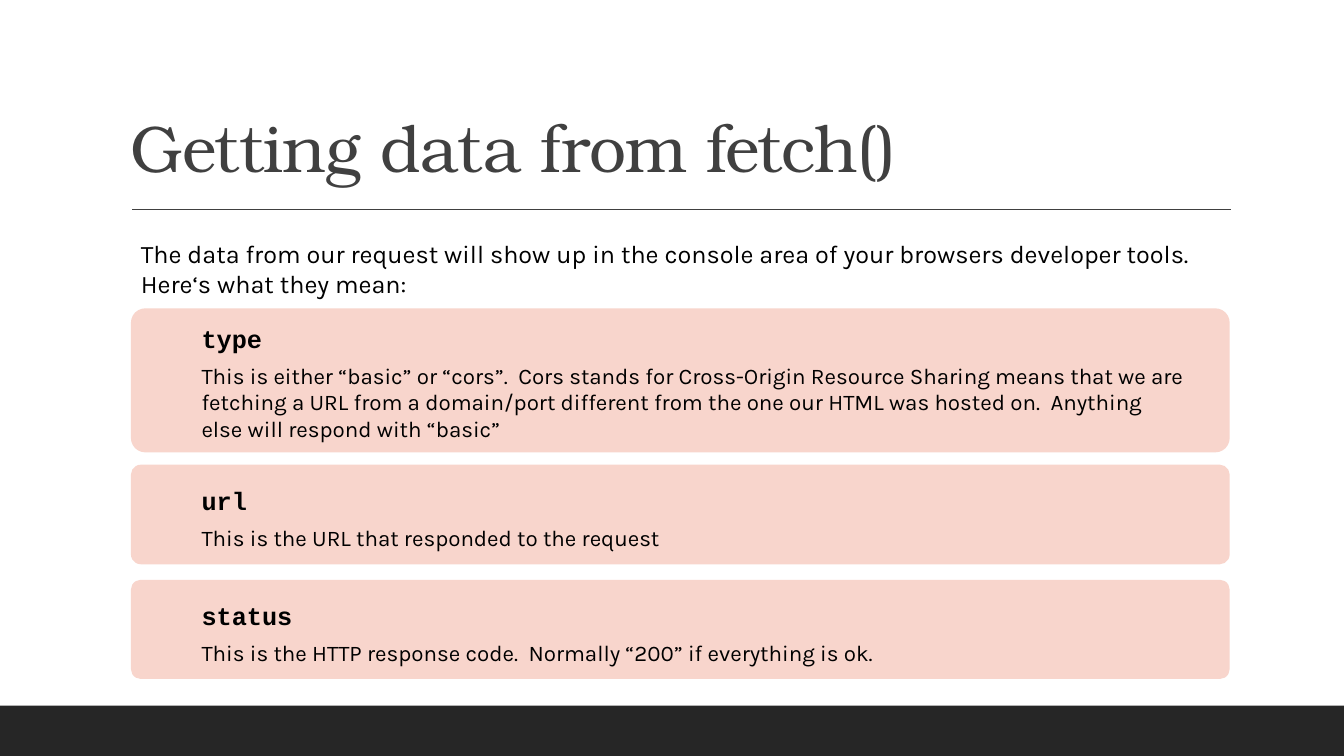
from pptx import Presentation
from pptx.dml.color import RGBColor
from pptx.enum.shapes import MSO_CONNECTOR, MSO_SHAPE
from pptx.enum.text import MSO_ANCHOR, PP_ALIGN
from pptx.oxml.ns import qn
from pptx.util import Cm, Pt
from lxml.etree import SubElement

TITLE = "Getting data from fetch()"
INTRO = ("The data from our request will show up in the console area of your "
         "browsers developer tools.  Here‘s what they mean:")
# name, meaning, top, height, space above the name, height of the meaning (cm)
CARDS = [
    ("type",
     "This is either “basic” or “cors”.  Cors stands for Cross-Origin Resource "
     "Sharing means that we are fetching a URL from a domain/port different from "
     "the one our HTML was hosted on.  Anything else will respond with “basic”",
     7.77, 3.63, 0.25, 2.31),
    ("url", "This is the URL that responded to the request",
     11.71, 2.51, 0.4, 0.94),
    ("status", "This is the HTTP response code.  Normally “200” if everything is ok.",
     14.61, 2.5, 0.4, 0.94),
]
COLORS = {"bar": "262626", "title": "404040", "card": "F8D5CC", "text": "000000"}
WIDE, HIGH = 33.87, 19.05
LEFT, SPAN = 3.3, 27.69
INDENT, STEP = 1.53, 0.97
BAR = 1.27


def color(name):
    return RGBColor.from_string(COLORS[name])


def add_panel(slide, kind, box, fill):
    panel = slide.shapes.add_shape(kind, *map(Cm, box))
    panel.shadow.inherit = False
    panel.fill.solid()
    panel.fill.fore_color.rgb = color(fill)
    panel.line.fill.background()
    return panel


def add_text(slide, text, box, size, font="Karla", bold=False, tint="text"):
    frame = slide.shapes.add_textbox(*map(Cm, box)).text_frame
    frame.word_wrap = True
    frame.text = text
    line = frame.paragraphs[0]
    line.alignment = PP_ALIGN.LEFT
    style = line.runs[0].font
    style.name, style.size, style.bold = font, Pt(size), bold
    style.color.rgb = color(tint)
    return frame


def add_title(slide):
    frame = add_text(slide, TITLE, (3.05, 0.79, 27.94, 4.04), 47,
                     "TeX Gyre Bonum", tint="title")
    frame.vertical_anchor = MSO_ANCHOR.BOTTOM
    line = frame.paragraphs[0]
    line.line_spacing = 0.9
    line.runs[0]._r.get_or_add_rPr().set("spc", "-50")


def add_rule(slide):
    ends = (3.33, 5.28, 31.01, 5.28)
    rule = slide.shapes.add_connector(MSO_CONNECTOR.STRAIGHT, *map(Cm, ends))
    rule.line.color.rgb = color("title")
    rule.line.width = Pt(1)
    SubElement(rule._element.spPr, qn("a:effectLst"))


def add_card(slide, name, meaning, top, height, pad, depth):
    card = add_panel(slide, MSO_SHAPE.ROUNDED_RECTANGLE,
                     (LEFT, top, SPAN, height), "card")
    card.adjustments[0] = 0.1
    left, width = LEFT + INDENT, 25.27
    add_text(slide, name, (left, top + pad, width, 1.03), 18, "Courier New", True)
    add_text(slide, meaning, (left, top + pad + STEP, width, depth), 16)


def main():
    deck = Presentation()
    deck.slide_width, deck.slide_height = Cm(WIDE), Cm(HIGH)
    slide = deck.slides.add_slide(deck.slide_layouts[6])
    add_panel(slide, MSO_SHAPE.RECTANGLE, (0, HIGH - BAR, WIDE, BAR), "bar")
    add_rule(slide)
    add_title(slide)
    for card in CARDS:
        add_card(slide, *card)
    add_text(slide, INTRO, (LEFT, 5.87, SPAN, 1.8), 18)
    deck.save("out.pptx")


if __name__ == "__main__":
    main()
